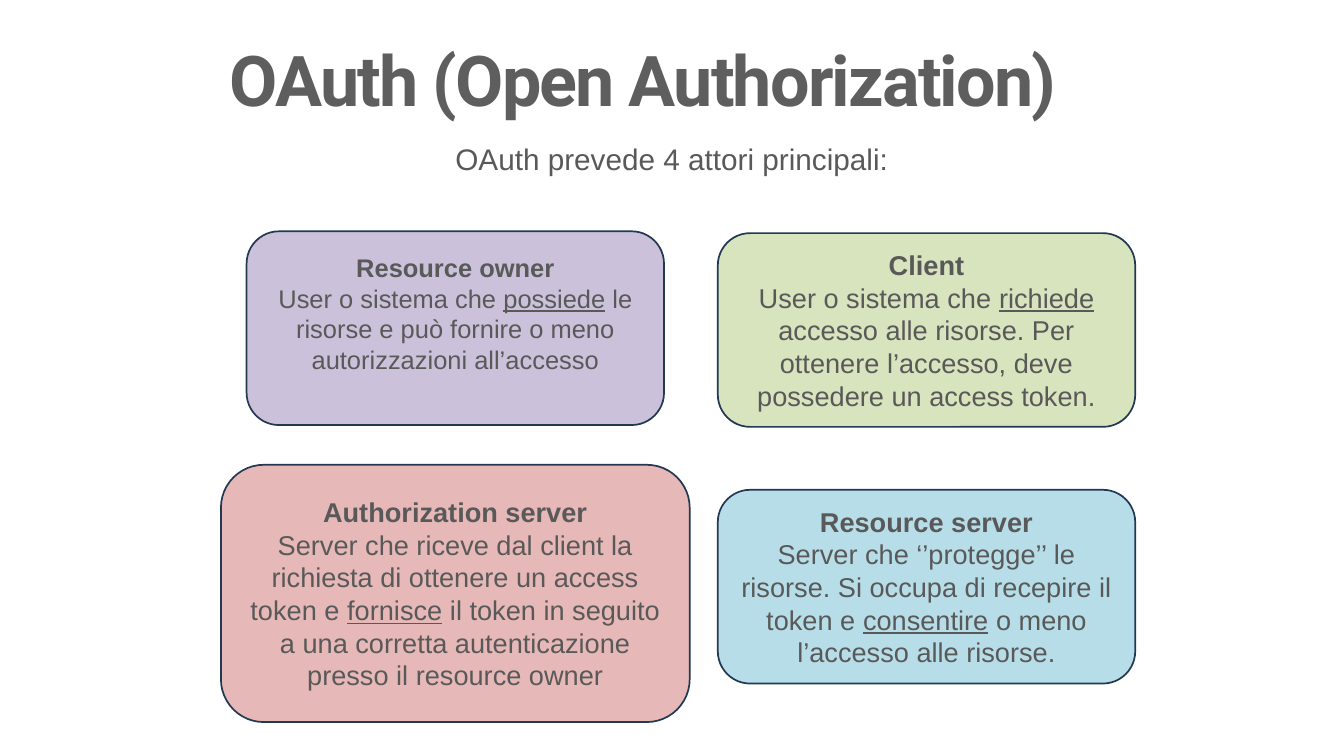
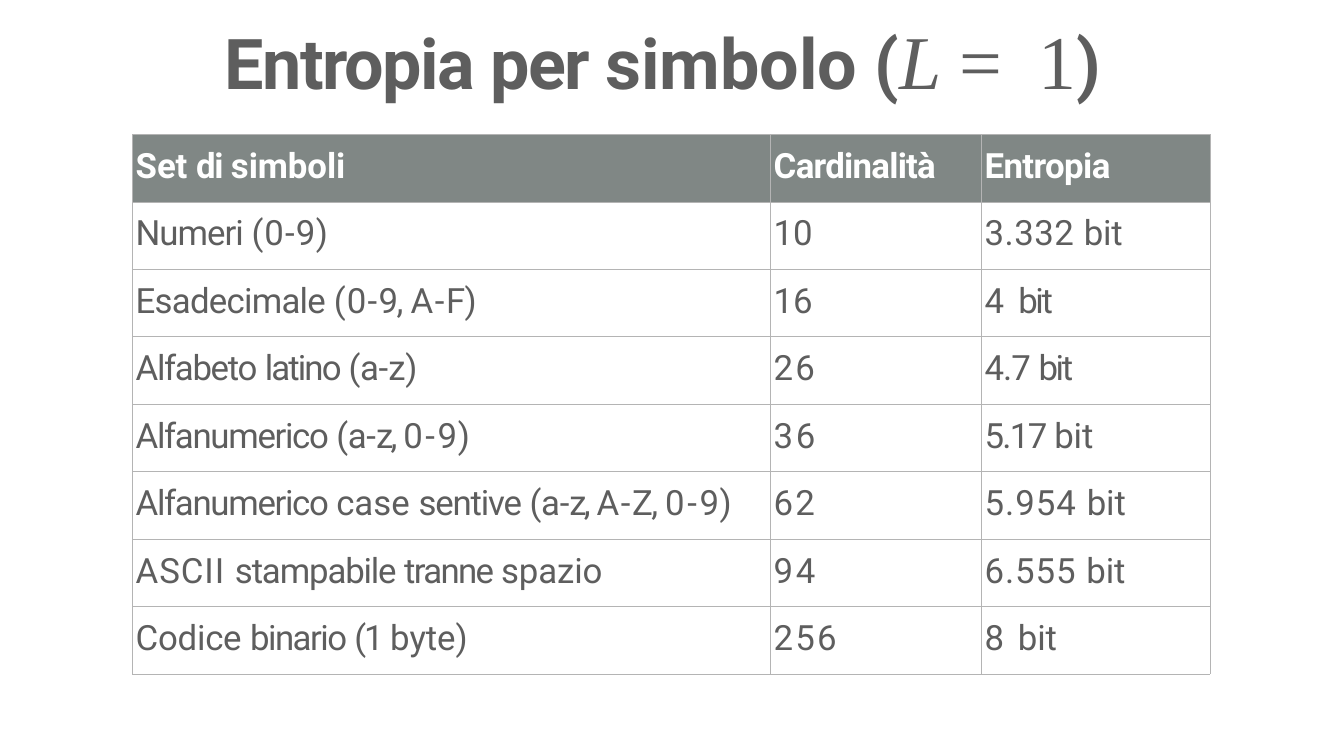
from dataclasses import dataclass

from lxml.etree import SubElement
from pptx import Presentation
from pptx.dml.color import RGBColor
from pptx.enum.shapes import MSO_SHAPE
from pptx.enum.text import MSO_ANCHOR, PP_ALIGN
from pptx.oxml.ns import qn
from pptx.util import Inches, Pt

COLUMN = ROW = Inches(1)
SLIDE_COLUMNS, SLIDE_ROWS = 21.99, 12.37
HEADING_FONT, BODY_FONT, FORMULA_FONT = "Roboto", "Arial", "Times New Roman"
HEADING_COLOR, BODY_COLOR, WHITE = "5E5E5E", "595959", "FFFFFF"
CARD_LINE, HEADER_FILL, BORDER_COLOR = "233953", "808785", "B4B4B4"
TITLE_FORMAT = dict(size=82.5, font=HEADING_FONT, color=HEADING_COLOR, bold=True)

ACTORS = [
    dict(name="Resource owner", center=(3.83, 1.58), size=(6.83, 3.17),
         fill="CCC1DA", text_size=30, bottom=0.53,
         role=("User o sistema che ", "possiede",
               " le risorse e può fornire o meno autorizzazioni all’accesso")),
    dict(name="Client", center=(11.54, 1.61), size=(6.83, 3.17), fill="D7E4BD",
         role=("User o sistema che ", "richiede",
               " accesso alle risorse. Per ottenere l’accesso, deve possedere"
               " un access token.")),
    dict(name="Authorization server", center=(3.83, 5.92), size=(7.67, 4.21),
         fill="E6B9B8",
         role=("Server che riceve dal client la richiesta di ottenere un access token e ",
               "fornisce",
               " il token in seguito a una corretta autenticazione presso il"
               " resource owner")),
    dict(name="Resource server", center=(11.54, 5.81), size=(6.83, 3.17),
         fill="B7DEE8",
         role=("Server che ‘’protegge’’ le risorse. Si occupa di recepire il token e ",
               "consentire", " o meno l’accesso alle risorse.")),
]

ENTROPY_WIDTHS = [10.44, 3.45, 3.74]
ENTROPY_ROWS = [
    [[("Set ", -0.1), ("di ", -1.6), ("simboli", -0.1)],
     [("Cardinalità", -0.9)], [("Entropia", -0.7)]],
    [[("Numeri ", -1.2), ("(0-", 1.2), ("9)", 0.8)],
     [("10", -0.2)], [("3.332 ", 0.6), ("bit", -0.2)]],
    [[("Esadecimale ", -0.9), ("(0-", 1.4), ("9, ", -1.8), ("A-", 1.9), ("F)", -0.9)],
     [("16", -0.2)], [("4 ", 3.2), ("bit", -2.8)]],
    [[("Alfabeto ", -1.6), ("latino ", -2.2), ("(a-", -0.4), ("z)", -0.2)],
     [("26", 2.5)], [("4.7 ", -1.2), ("bit", -2.8)]],
    [[("Alfanumerico ", -1.6), ("(a-", -0.4), ("z, ", -3.3), ("0-", 3), ("9)", 0.8)],
     [("36", 3)], [("5.17 ", -2), ("bit", -0.2)]],
    [[("Alfanumerico ", -1.6), ("case ", 0), ("sentive ", -1.4), ("(a-", -0.4),
      ("z, ", -3.3), ("A-", 1.8), ("Z, ", -1.9), ("0-", 3), ("9)", 0.8)],
     [("62", 2.5)], [("5.954 ", 1.2), ("bit", -0.2)]],
    [[("ASCII ", 1.1), ("stampabile ", -1.4), ("tranne ", -2), ("spazio", -0.1)],
     [("94", 3.2)], [("6.555 ", 1.1), ("bit", -0.2)]],
    [[("Codice ", -0.3), ("binario ", -1.8), ("(1 ", -2.5), ("byte)", -0.1)],
     [("256", 2.5)], [("8 ", 3), ("bit", -0.2)]],
]


@dataclass
class Box:
    left: float
    top: float
    width: float
    height: float

    def centered(self, x, y, width, height):
        return Box(self.left + x - width / 2, self.top + y - height / 2, width, height)

    def lengths(self):
        return (int(self.left * COLUMN), int(self.top * ROW),
                int(self.width * COLUMN), int(self.height * ROW))


def rgb(value):
    return RGBColor.from_string(value)


def add_text(paragraph, text, size, font, color, bold=False, italic=False,
             underline=False, spacing=0):
    run = paragraph.add_run()
    run.text = text
    run.font.size = Pt(size)
    run.font.name = font
    run.font.color.rgb = rgb(color)
    run.font.bold = bold
    run.font.italic = italic
    run.font.underline = underline
    if spacing:
        run.font._element.set("spc", str(round(spacing * 100)))


def set_margins(area, left=0, top=0, right=0, bottom=0):
    area.margin_left, area.margin_top = Inches(left), Inches(top)
    area.margin_right, area.margin_bottom = Inches(right), Inches(bottom)


def add_line(slide, box, runs, align=PP_ALIGN.LEFT, margins=None, **text_format):
    frame = slide.shapes.add_textbox(*box.lengths()).text_frame
    frame.word_wrap = True
    set_margins(frame, **(margins or {}))
    paragraph = frame.paragraphs[0]
    paragraph.alignment = align
    for text, changes in runs:
        add_text(paragraph, text, **{**text_format, **changes})


def add_actor(slide, box, name, role, fill, text_size=32, bottom=0.05):
    card = slide.shapes.add_shape(MSO_SHAPE.ROUNDED_RECTANGLE, *box.lengths())
    card.shadow.inherit = False
    card.fill.solid()
    card.fill.fore_color.rgb = rgb(fill)
    card.line.color.rgb = rgb(CARD_LINE)
    card.line.width = Pt(2)
    frame = card.text_frame
    frame.word_wrap = True
    frame.vertical_anchor = MSO_ANCHOR.MIDDLE
    set_margins(frame, 0.1, 0.05, 0.1, bottom)
    text_format = dict(size=text_size, font=BODY_FONT, color=BODY_COLOR)
    heading, description = frame.paragraphs[0], frame.add_paragraph()
    heading.alignment = description.alignment = PP_ALIGN.CENTER
    add_text(heading, name, bold=True, **text_format)
    before, verb, after = role
    add_text(description, before, **text_format)
    add_text(description, verb, underline=True, **text_format)
    add_text(description, after, **text_format)


def add_actors(slide, box):
    for actor in ACTORS:
        content = dict(actor)
        place = box.centered(*content.pop("center"), *content.pop("size"))
        add_actor(slide, place, **content)


def add_borders(cell):
    properties = cell._tc.get_or_add_tcPr()
    for index, side in enumerate(("lnL", "lnR", "lnT", "lnB")):
        border = SubElement(properties, qn(f"a:{side}"), w=str(Pt(1)))
        fill = SubElement(border, qn("a:solidFill"))
        SubElement(fill, qn("a:srgbClr"), val=BORDER_COLOR)
        properties.remove(border)
        properties.insert(index, border)


def add_entropy_table(slide, box):
    table = slide.shapes.add_table(
        len(ENTROPY_ROWS), len(ENTROPY_WIDTHS), *box.lengths()).table
    table.first_row = table.horz_banding = False
    for column, width in zip(table.columns, ENTROPY_WIDTHS):
        column.width = int(width * COLUMN)
    for row_index, entries in enumerate(ENTROPY_ROWS):
        header = row_index == 0
        table.rows[row_index].height = int(box.height * ROW / len(ENTROPY_ROWS))
        for column_index, pieces in enumerate(entries):
            cell = table.cell(row_index, column_index)
            set_margins(cell, left=0.05, top=0.19)
            if header:
                cell.fill.solid()
                cell.fill.fore_color.rgb = rgb(HEADER_FILL)
            else:
                cell.fill.background()
            add_borders(cell)
            for text, spacing in pieces:
                add_text(cell.text_frame.paragraphs[0], text, size=41,
                         font=HEADING_FONT, bold=header, spacing=spacing,
                         color=WHITE if header else HEADING_COLOR)


def build_oauth_slide(slide):
    add_line(slide, Box(3.76, 0.6, 14.46, 1.5),
             [("OAuth (Open Authorization)", dict(spacing=-2.1))], **TITLE_FORMAT)
    add_line(slide, Box(0.83, 2.25, 20.33, 0.69),
             [("OAuth prevede 4 attori principali:", {})], PP_ALIGN.CENTER,
             dict(left=0.1, top=0.05, right=0.1, bottom=0.05),
             size=35, font=BODY_FONT, color=BODY_COLOR)
    add_actors(slide, Box(3.62, 3.79, 14.95, 8.03))


def build_entropy_slide(slide):
    formula = dict(size=89.5, font=FORMULA_FONT, bold=False)
    add_entropy_table(slide, Box(2.17, 2.2, 17.63, 8.83))
    add_line(slide, Box(3.33, 0.13, 15.33, 1.53),
             [("Entropia ", dict(spacing=-1.9)), ("per ", dict(spacing=-2.2)),
              ("simbolo ", dict(spacing=-0.1)), ("(", {}),
              ("L ", dict(formula, italic=True)), ("= ", dict(formula, spacing=10.6)),
              ("1", dict(formula, spacing=-0.3)), (")", {})],
             margins=dict(left=0.35, top=0.1), **TITLE_FORMAT)


def main():
    deck = Presentation()
    deck.slide_width = int(SLIDE_COLUMNS * COLUMN)
    deck.slide_height = int(SLIDE_ROWS * ROW)
    blank = deck.slide_layouts[6]
    for build in (build_oauth_slide, build_entropy_slide):
        build(deck.slides.add_slide(blank))
    deck.save("out.pptx")


if __name__ == "__main__":
    main()
